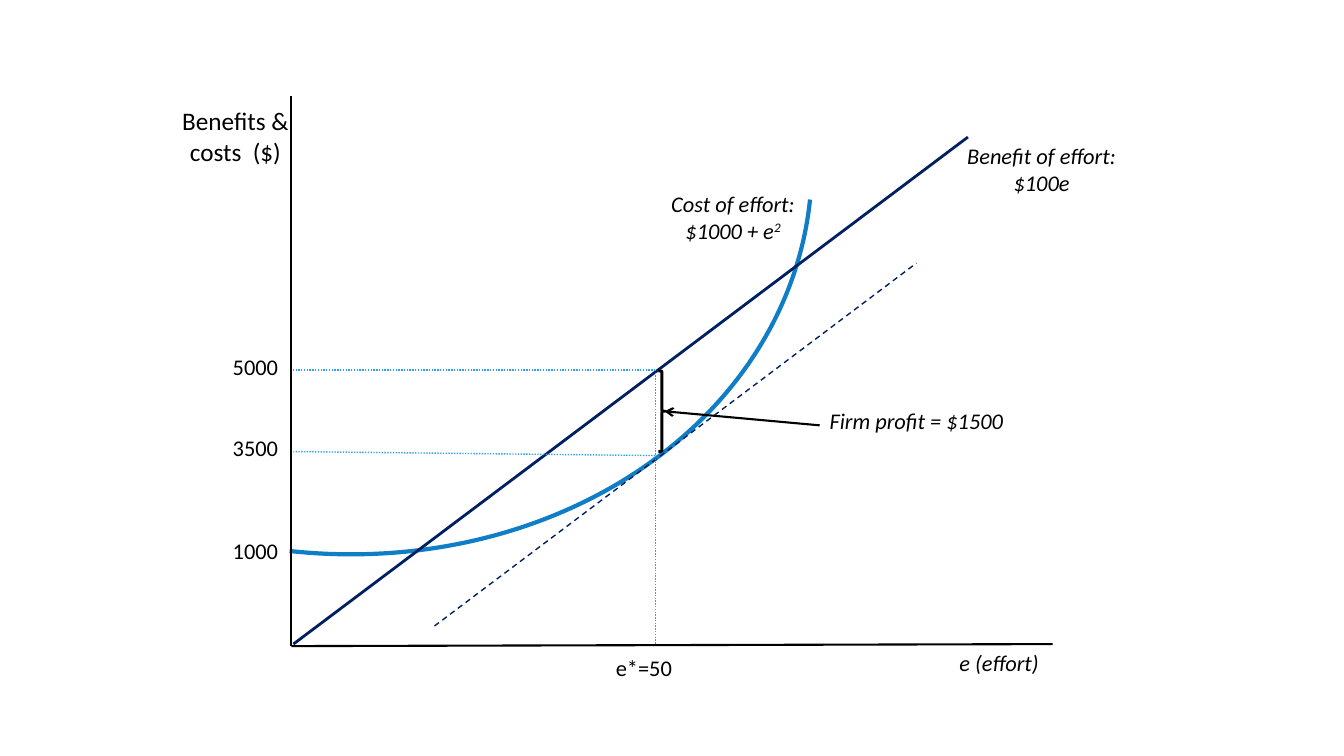
import pptx
import pptx.dml.color
import pptx.enum.dml
import pptx.enum.shapes
import pptx.enum.text
import pptx.oxml.ns
import pptx.util
import lxml.etree

Inches = pptx.util.Inches
Pt = pptx.util.Pt
RGBColor = pptx.dml.color.RGBColor
Shape = pptx.enum.shapes.MSO_SHAPE
Dash = pptx.enum.dml.MSO_LINE
Align = pptx.enum.text.PP_ALIGN

BLACK = RGBColor(0x00, 0x00, 0x00)
NAVY = RGBColor(0x00, 0x20, 0x60)
BLUE = RGBColor(0x10, 0x7E, 0xC6)
SKY = RGBColor(0x2F, 0xA3, 0xEE)

ORIGIN_X = 2.89
GUIDE_X = 2.91
BEST_X = 6.5
GAIN_Y = 3.67
BASE_Y = 6.39


def add_line(slide, start, end, color, width, dash=None, arrow=False):
    """Draw a straight line, dashed or with an arrowhead at its end if asked."""
    line = slide.shapes.add_connector(
        pptx.enum.shapes.MSO_CONNECTOR.STRAIGHT,
        *(Inches(value) for value in (*start, *end)))
    line.line.color.rgb = color
    line.line.width = Pt(width)
    if dash:
        line.line.dash_style = dash
    qn = pptx.oxml.ns.qn
    if arrow:
        tip = lxml.etree.SubElement(line.line._get_or_add_ln(), qn("a:tailEnd"))
        tip.set("type", "arrow")
    lxml.etree.SubElement(line._element.spPr, qn("a:effectLst"))


def add_outline(slide, kind, box, color, width):
    """Draw a preset shape with a line and no fill."""
    shape = slide.shapes.add_shape(kind, *(Inches(value) for value in box))
    shape.shadow.inherit = False
    shape.fill.background()
    shape.line.color.rgb = color
    shape.line.width = Pt(width)
    return shape


def add_label(slide, box, text, size=16, italic=False, align=None):
    """Add a wrapped text label and return its text frame."""
    label = slide.shapes.add_textbox(*(Inches(value) for value in box))
    frame = label.text_frame
    frame.word_wrap = True
    frame.text = text
    for para in frame.paragraphs:
        para.alignment = align
        for run in para.runs:
            style(run, size, italic)
    return frame


def style(run, size, italic):
    """Set the font of one run."""
    run.font.name = "Calibri"
    run.font.size = Pt(size)
    run.font.italic = italic
    run.font.color.rgb = BLACK


def add_power(para, text):
    """Append a raised italic exponent to a paragraph."""
    run = para.add_run()
    run.text = text
    style(run, 16, True)
    run._r.get_or_add_rPr().set("baseline", "30000")


def draw_curves(slide):
    """Draw the cost curve, the axes, the benefit line and its tangent."""
    cost = add_outline(slide, Shape.ARC, (-0.7, -3.27, 8.01, 9.51), BLUE, 3)
    cost.adjustments[0] = 161.863
    cost.adjustments[1] = 0
    cost.rotation = 96.2
    add_line(slide, (ORIGIN_X, 0.95), (ORIGIN_X, 6.41), BLACK, 1.5)
    add_line(slide, (10.44, BASE_Y), (ORIGIN_X, 6.41), BLACK, 1.5)
    add_line(slide, (GUIDE_X, BASE_Y), (9.6, 1.36), NAVY, 2)
    add_line(slide, (4.31, 6.21), (9.09, 2.61), NAVY, 1, Dash.DASH)


def draw_guides(slide):
    """Draw the dotted guides at the best effort level."""
    best = (BEST_X, GAIN_Y)
    for start, end in ((best, (BEST_X, BASE_Y)),
                       (best, (GUIDE_X, GAIN_Y)),
                       ((BEST_X, 4.52), (GUIDE_X, 4.48))):
        add_line(slide, start, end, SKY, 1, Dash.ROUND_DOT)


def draw_profit(slide):
    """Mark the profit gap with a brace, an arrow and a label."""
    add_outline(slide, Shape.RIGHT_BRACE, (6.53, 3.68, 0.07, 0.8), BLACK, 2)
    add_line(slide, (8.13, 4.22), (6.59, 4.08), BLACK, 1.5, arrow=True)
    add_label(slide, (8.13, 3.99, 2.9, 0.45), "Firm profit = $1500", italic=True)


def draw_labels(slide):
    """Name the axes, the values and the curves."""
    mid = Align.CENTER
    add_label(slide, (1.65, 1, 1.37, 0.71), "Benefits & costs  ($)", 18, align=mid)
    add_label(slide, (8.83, 6.39, 2.16, 0.45), "e (effort)", italic=True, align=mid)
    for top, value in ((3.45, "5000"), (4.26, "3500"), (5.28, "1000")):
        add_label(slide, (2.21, top, 1.02, 0.45), value)
    add_label(slide, (6.01, 6.44, 0.98, 0.45), "e*=50")
    add_label(slide, (9.24, 1.36, 2.18, 0.78), "Benefit of effort: $100e",
              italic=True, align=mid)
    cost = add_label(slide, (6.18, 1.84, 2.18, 0.64),
                     "Cost of effort:\n$1000 + e", italic=True, align=mid)
    add_power(cost.paragraphs[1], "2")


def main():
    """Build the slide and save it."""
    deck = pptx.Presentation()
    deck.slide_width = Inches(13.33)
    deck.slide_height = Inches(7.5)
    slide = deck.slides.add_slide(deck.slide_layouts[6])
    draw_curves(slide)
    draw_guides(slide)
    draw_profit(slide)
    draw_labels(slide)
    deck.save("out.pptx")


main()
